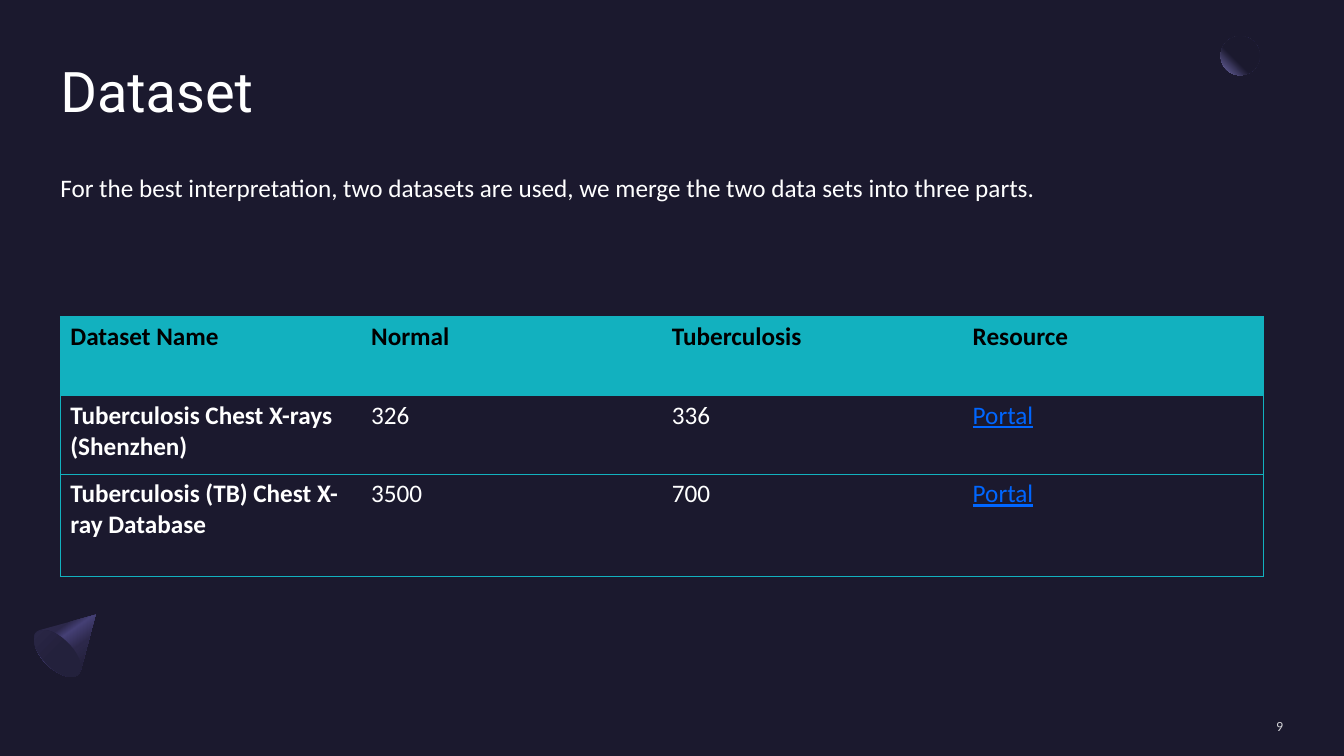
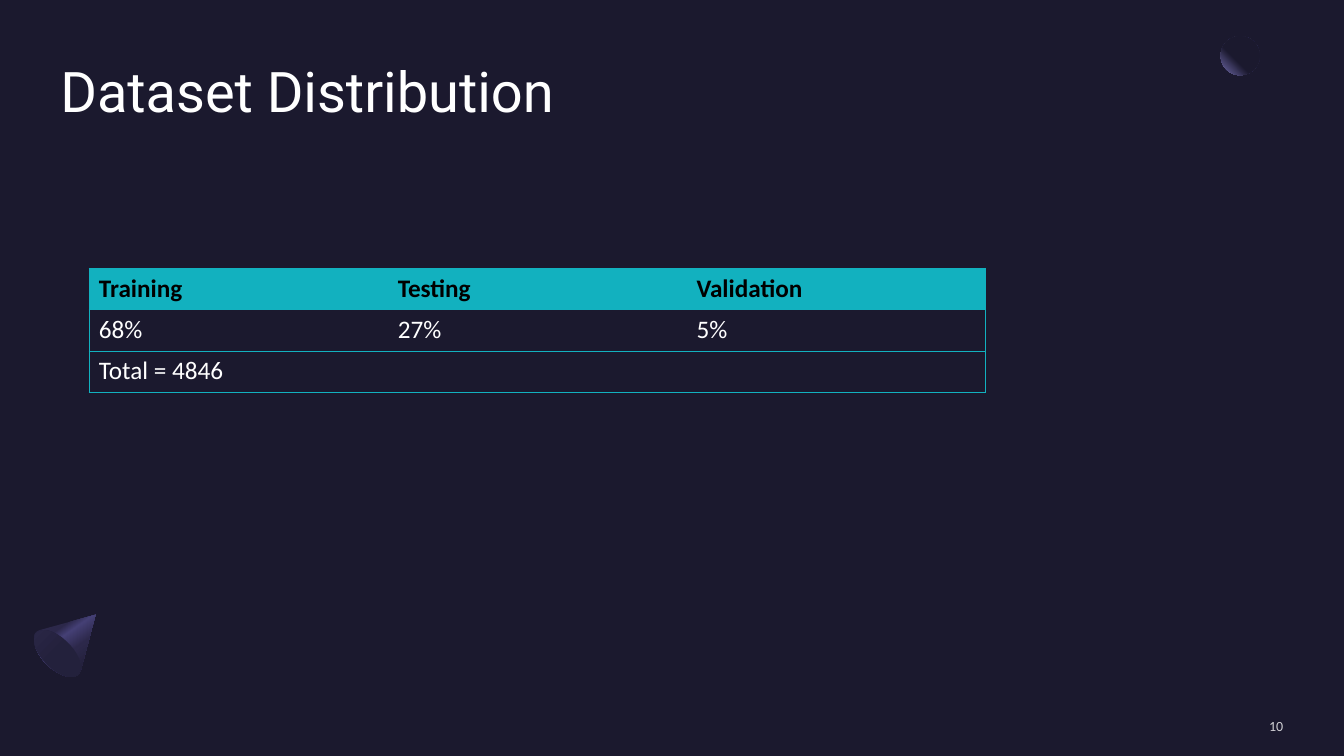
"""Build two dark slides on the tuberculosis dataset and its distribution."""
from pptx import Presentation
from pptx.dml.color import RGBColor
from pptx.enum.shapes import MSO_SHAPE
from pptx.enum.text import MSO_ANCHOR, PP_ALIGN
from pptx.oxml import parse_xml
from pptx.oxml.ns import nsdecls, qn
from pptx.util import Cm, Pt

NIGHT, TEAL, WHITE, BLACK, LINK = "1B192E", "12B1BF", "FFFFFF", "000000", "0066FF"
NO_GRID_STYLE = "{2D5ABB26-0587-4C30-8999-92F81FD0307C}"
TITLE = {"name": "Roboto", "size": Pt(40)}
BODY = {"name": "Calibri", "size": Pt(18)}
NUMBER = {"name": "Calibri", "size": Pt(10)}
LEFT = 1.52
RESOURCE = "Portal"

SLIDES = [
    {
        "number": 9,
        "title": "Dataset",
        "intro": "For the best interpretation, two datasets are used, "
                 "we merge the two data sets into three parts.",
        "rows": [
            ("Dataset Name", "Normal", "Tuberculosis", "Resource"),
            ("Tuberculosis Chest X-rays (Shenzhen)", "326", "336", RESOURCE),
            ("Tuberculosis (TB) Chest X-ray Database", "3500", "700", RESOURCE),
        ],
        "corner": (LEFT, 7.98),
        "column": 7.58,
        "heights": (1.98, 1.98, 2.57),
        "bold_names": True,
    },
    {
        "number": 10,
        "title": "Dataset Distribution",
        "rows": [
            ("Training", "Testing", "Validation"),
            ("68%", "27%", "5%"),
            ("Total = 4846", "", ""),
        ],
        "corner": (2.24, 6.76),
        "column": 7.53,
        "heights": (1.04, 1.04, 1.04),
        "bold_names": False,
    },
]

CONE_TIP = (2.41, 15.49)
CONE_EDGE = [(2.03, 16.92), (2.01, 16.92)]
CONE_CURVES = [
    ((2.01, 16.94), (2, 16.97), (1.98, 16.99)),
    ((1.83, 17.15), (1.47, 17.02), (1.17, 16.74)),
    ((0.89, 16.43), (0.76, 16.08), (0.91, 15.93)),
    ((0.94, 15.9), (0.97, 15.9), (0.99, 15.88)),
]
MOON_STOPS = [(60, NIGHT), (100, "7771B2")]
CONE_STOPS = [(30, "2C284A"), (40, "454075"), (60, "2C284A"), (100, NIGHT)]
BASE_STOPS = [(50, "23213C"), (100, "2C284A")]
TOP_RIGHT = '<a:path path="circle"><a:fillToRect l="100000" b="100000"/></a:path>'


def rgb(color):
    """Turn a hex string into a colour."""
    return RGBColor.from_string(color)


def linear(degrees):
    """Describe a straight gradient, clockwise from the left."""
    return f'<a:lin ang="{degrees * 60000}" scaled="0"/>'


def paint(shape, stops, direction):
    """Fill a shape with a gradient and no outline."""
    shape.shadow.inherit = False
    shape.line.fill.background()
    shape.fill.background()
    marks = "".join(f'<a:gs pos="{at * 1000}"><a:srgbClr val="{color}"/></a:gs>'
                    for at, color in stops)
    gradient = parse_xml(f'<a:gradFill {nsdecls("a")} rotWithShape="1">'
                         f'<a:gsLst>{marks}</a:gsLst>{direction}</a:gradFill>')
    properties = shape.element.spPr
    properties.replace(properties.find(qn("a:noFill")), gradient)


def cone_outline(steps=12):
    """Return the points of the cone, with its curves sampled."""
    points = list(CONE_EDGE)
    for first, second, end in CONE_CURVES:
        start = points[-1]
        for step in range(1, steps + 1):
            t = step / steps
            points.append(tuple(
                (1 - t) ** 3 * a + 3 * (1 - t) ** 2 * t * b + 3 * (1 - t) * t ** 2 * c + t ** 3 * d
                for a, b, c, d in zip(start, first, second, end)))
    return points


def decorate(slide):
    """Draw the moon and the cone."""
    moon = slide.shapes.add_shape(MSO_SHAPE.OVAL, Cm(30.76), Cm(0.91), Cm(0.99), Cm(0.99))
    paint(moon, MOON_STOPS, TOP_RIGHT)
    outline = slide.shapes.build_freeform(*map(Cm, CONE_TIP))
    outline.add_line_segments([(Cm(x), Cm(y)) for x, y in cone_outline()])
    paint(outline.convert_to_shape(), CONE_STOPS, linear(55))
    base = slide.shapes.add_shape(MSO_SHAPE.OVAL, Cm(1.07), Cm(15.72), Cm(0.76), Cm(1.5))
    base.rotation = 135
    paint(base, BASE_STOPS, linear(90))


def write(frame, text, style, color=WHITE, **extra):
    """Write one styled paragraph and return it."""
    paragraph = frame.paragraphs[0]
    run = paragraph.add_run()
    run.text = text
    for key, value in {**style, **extra}.items():
        setattr(run.font, key, value)
    run.font.color.rgb = rgb(color)
    return paragraph


def add_text(slide, box, text, style, anchor=MSO_ANCHOR.TOP, **layout):
    """Add a wrapped text box without margins and return its paragraph."""
    frame = slide.shapes.add_textbox(*map(Cm, box)).text_frame
    settings = {"word_wrap": True, "vertical_anchor": anchor, "margin_left": 0,
                "margin_right": 0, "margin_top": 0, "margin_bottom": 0}
    for key, value in settings.items():
        setattr(frame, key, value)
    paragraph = write(frame, text, style)
    for key, value in layout.items():
        setattr(paragraph, key, value)
    return paragraph


def add_borders(cell, sides):
    """Draw thin teal lines on the given sides of a cell."""
    for side in sides:
        cell._tc.get_or_add_tcPr().append(parse_xml(
            f'<a:ln{side} {nsdecls("a")} w="{Pt(0.5)}"><a:solidFill>'
            f'<a:srgbClr val="{TEAL}"/></a:solidFill></a:ln{side}>'))


def add_figures(slide, content):
    """Add the table with a teal header and ruled rows."""
    rows, column, heights = content["rows"], content["column"], content["heights"]
    count = len(rows[0])
    size = (column * count, sum(heights))
    table = slide.shapes.add_table(
        len(rows), count, *map(Cm, content["corner"] + size)).table
    table._tbl.tblPr.find(qn("a:tableStyleId")).text = NO_GRID_STYLE
    table.horz_banding = False
    for part in table.columns:
        part.width = Cm(column)
    for r, (values, height) in enumerate(zip(rows, heights)):
        table.rows[r].height = Cm(height)
        for c, value in enumerate(values):
            cell = table.cell(r, c)
            add_borders(cell, "L" * (c == 0) + "R" * (c == count - 1) + "TB")
            if r == 0:
                cell.fill.solid()
                cell.fill.fore_color.rgb = rgb(TEAL)
            else:
                cell.fill.background()
            linked = value == RESOURCE
            color = BLACK if r == 0 else LINK if linked else WHITE
            bold = r == 0 or (c == 0 and content["bold_names"])
            write(cell.text_frame, value, BODY, color, bold=bold, underline=linked)


def add_slide(deck, content):
    """Build one slide from its content."""
    slide = deck.slides.add_slide(deck.slide_layouts[6])
    decorate(slide)
    add_text(slide, (LEFT, 1.42, 30.81, 2.21), content["title"], TITLE)
    if "intro" in content:
        add_text(slide, (LEFT, 4.27, 26.62, 1.3), content["intro"], BODY,
                 line_spacing=1.1, space_before=Pt(10), space_after=Pt(8))
    add_figures(slide, content)
    number = add_text(slide, (27.64, 18.08, 4.7, 0.43), str(content["number"]), NUMBER,
                      MSO_ANCHOR.MIDDLE, alignment=PP_ALIGN.RIGHT)
    for color in number._p.iter(qn("a:srgbClr")):
        color.append(parse_xml(f'<a:alpha {nsdecls("a")} val="80000"/>'))


def main():
    """Build and save the deck."""
    deck = Presentation()
    deck.slide_width, deck.slide_height = Cm(33.87), Cm(19.05)
    backdrop = deck.slide_master.background.fill
    backdrop.solid()
    backdrop.fore_color.rgb = rgb(NIGHT)
    for content in SLIDES:
        add_slide(deck, content)
    deck.save("out.pptx")


if __name__ == "__main__":
    main()
